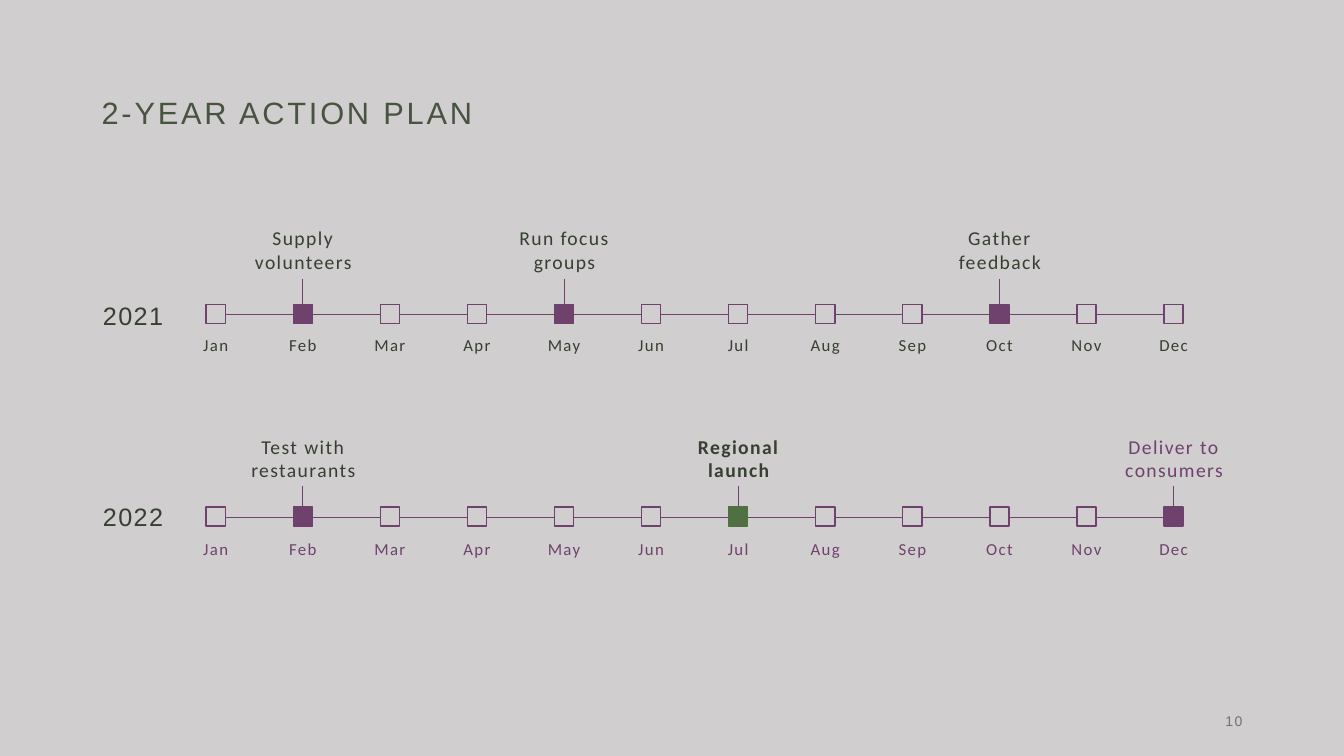
from pptx import Presentation
from pptx.dml.color import RGBColor
from pptx.enum.shapes import MSO_CONNECTOR, MSO_SHAPE
from pptx.enum.text import MSO_ANCHOR, PP_ALIGN
from pptx.oxml.ns import qn
from pptx.util import Inches, Pt
from lxml.etree import SubElement

PURPLE = "6F426D"
GREEN = "506F42"
DARK = "363F31"

MONTHS = ["Jan", "Feb", "Mar", "Apr", "May", "Jun",
          "Jul", "Aug", "Sep", "Oct", "Nov", "Dec"]
WIDE_MONTHS = {"Mar", "May", "Aug", "Nov"}
FIRST_CENTER = 2.14
MONTH_STEP = 9.5 / 11
BOX = 0.19

# Milestones: month -> (caption, caption colour, bold, marker colour)
YEARS = [
    dict(year="2021", year_top=2.87, caption_top=2.25, caption_height=0.51,
         stem_top=2.77, marker_top=3.02, month_top=3.31, month_color=DARK,
         milestones={
             "Feb": ("Supply volunteers", DARK, False, PURPLE),
             "May": ("Run focus groups", DARK, False, PURPLE),
             "Oct": ("Gather feedback", DARK, False, PURPLE),
         }),
    dict(year="2022", year_top=4.87, caption_top=4.38, caption_height=0.45,
         stem_top=4.82, marker_top=5.03, month_top=5.33, month_color=PURPLE,
         milestones={
             "Feb": ("Test with restaurants", DARK, False, PURPLE),
             "Jul": ("Regional launch", DARK, True, GREEN),
             "Dec": ("Deliver to consumers", PURPLE, False, PURPLE),
         }),
]


def rgb(value):
    return RGBColor.from_string(value)


def add_text(slide, text, left, top, width, height, *, size, font="Calibri",
             color=DARK, bold=False, align=PP_ALIGN.CENTER,
             anchor=MSO_ANCHOR.TOP, line_spacing=1.0, tracking=1):
    """Add a wrapped text box; tracking is the letter spacing in points."""
    shape = slide.shapes.add_textbox(
        Inches(left), Inches(top), Inches(width), Inches(height))
    frame = shape.text_frame
    frame.word_wrap = True
    frame.vertical_anchor = anchor
    paragraph = frame.paragraphs[0]
    paragraph.alignment = align
    paragraph.line_spacing = line_spacing
    run = paragraph.add_run()
    run.text = text
    run.font.size = Pt(size)
    run.font.name = font
    run.font.bold = bold
    run.font.color.rgb = rgb(color)
    run.font._element.set("spc", str(tracking * 100))


def add_line(slide, x1, y1, x2, y2):
    line = slide.shapes.add_connector(
        MSO_CONNECTOR.STRAIGHT, Inches(x1), Inches(y1), Inches(x2), Inches(y2))
    line.line.color.rgb = rgb(PURPLE)
    line.line.width = Pt(0.5)
    SubElement(line._element.spPr, qn("a:effectLst"))


def add_marker(slide, center, top, fill=None):
    """Add a month square, hollow unless a fill colour is given."""
    shape = slide.shapes.add_shape(
        MSO_SHAPE.RECTANGLE, Inches(center - BOX / 2), Inches(top),
        Inches(BOX), Inches(BOX))
    shape.shadow.inherit = False
    shape.line.color.rgb = rgb(fill or PURPLE)
    shape.line.width = Pt(1)
    if fill:
        shape.fill.solid()
        shape.fill.fore_color.rgb = rgb(fill)
    else:
        shape.fill.background()


def add_milestone(slide, center, row, caption, color, bold):
    add_text(slide, caption, center - 0.78, row["caption_top"], 1.57,
             row["caption_height"], size=14, color=color, bold=bold,
             anchor=MSO_ANCHOR.BOTTOM)
    add_line(slide, center, row["stem_top"], center, row["stem_top"] + 0.38)


def add_timeline(slide, row):
    add_text(slide, row["year"], 0.76, row["year_top"], 1.12, 0.55, size=18,
             font="Arial", anchor=MSO_ANCHOR.MIDDLE, line_spacing=0.9)
    axis = row["marker_top"] + 0.1
    for index, month in enumerate(MONTHS):
        center = FIRST_CENTER + index * MONTH_STEP
        fill = None
        if month in row["milestones"]:
            caption, color, bold, fill = row["milestones"][month]
            add_milestone(slide, center, row, caption, color, bold)
        if index:
            add_line(slide, center - MONTH_STEP + BOX / 2, axis,
                     center - BOX / 2, axis)
        add_marker(slide, center, row["marker_top"], fill)
        width = 0.67 if month in WIDE_MONTHS else 0.54
        add_text(slide, month, center - width / 2, row["month_top"], width,
                 0.71, size=12, color=row["month_color"], line_spacing=0.8)


def main():
    presentation = Presentation()
    presentation.slide_width = Inches(13.33)
    presentation.slide_height = Inches(7.5)
    slide = presentation.slides.add_slide(presentation.slide_layouts[6])
    slide.background.fill.solid()
    slide.background.fill.fore_color.rgb = rgb("D0CECE")

    add_text(slide, "2-YEAR ACTION PLAN", 0.91, 0.79, 4.8, 0.7, size=22,
             font="Arial", color="485441", align=PP_ALIGN.LEFT,
             anchor=MSO_ANCHOR.MIDDLE, line_spacing=0.9, tracking=2)
    for row in YEARS:
        add_timeline(slide, row)
    add_text(slide, "10", 9.42, 6.95, 3, 0.4, size=10, font="Arial",
             color="767171", align=PP_ALIGN.RIGHT, anchor=MSO_ANCHOR.MIDDLE)
    presentation.save("out.pptx")


if __name__ == "__main__":
    main()
